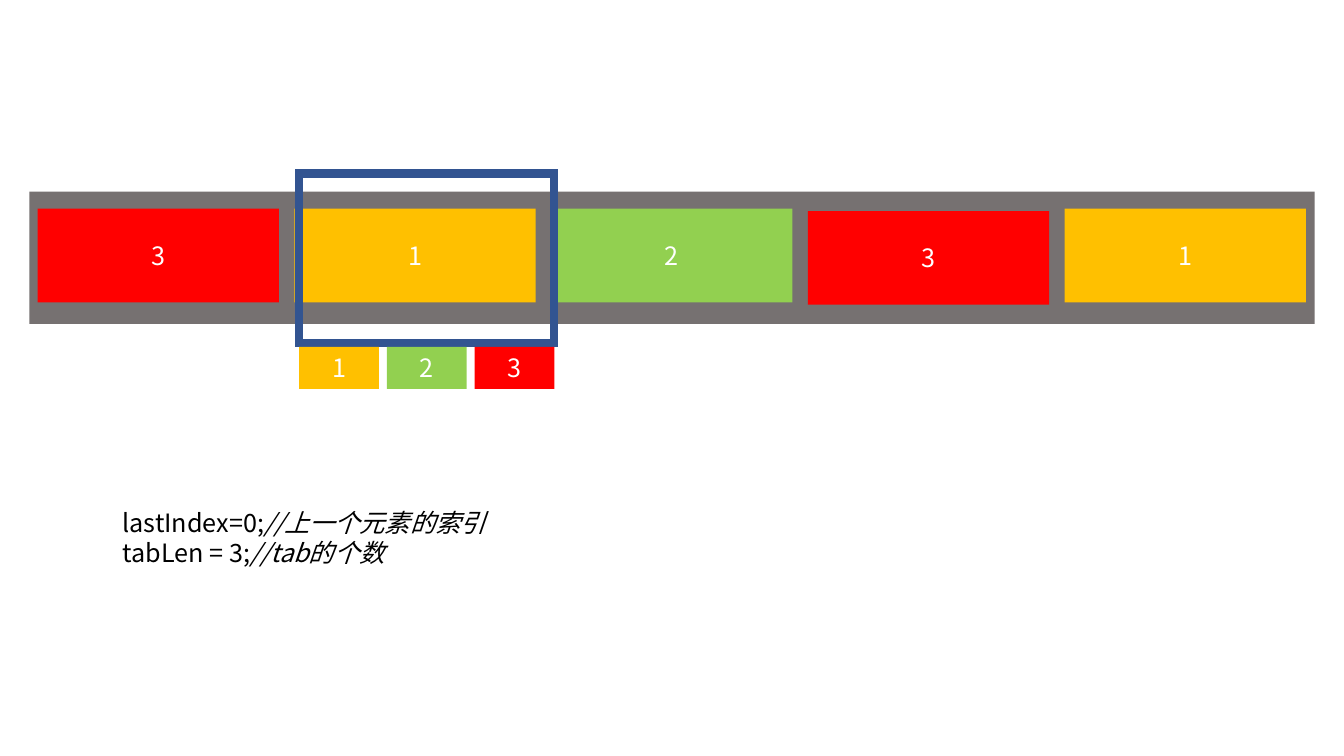
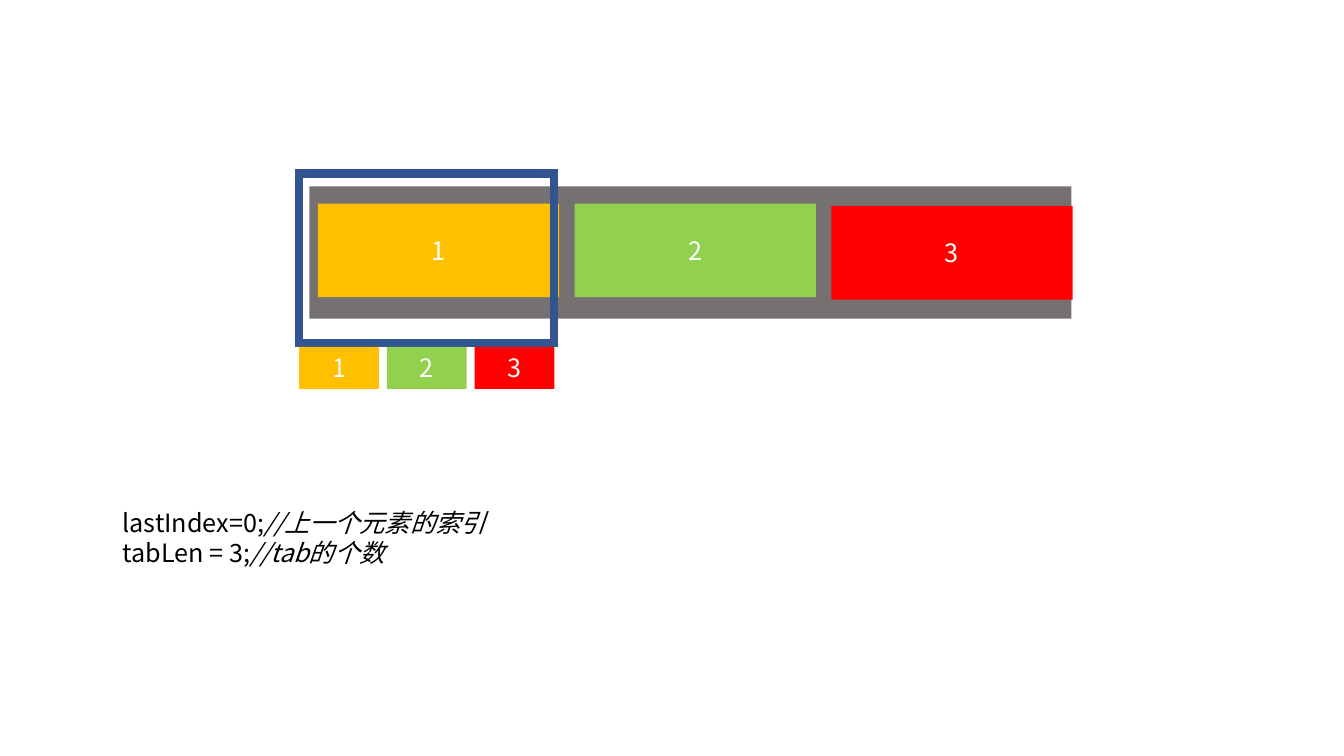
from lxml.etree import SubElement
from pptx import Presentation
from pptx.dml.color import RGBColor
from pptx.enum.shapes import MSO_SHAPE as Shape
from pptx.enum.text import MSO_ANCHOR as Anchor, MSO_AUTO_SIZE as Fit, PP_ALIGN as Align
from pptx.oxml.ns import qn
from pptx.util import Cm, Pt

FONT = "Noto Sans CJK SC"
WHITE = RGBColor(0xFF, 0xFF, 0xFF)
BLACK = RGBColor(0, 0, 0)
GREY = RGBColor(0x76, 0x71, 0x71)
BLUE = RGBColor(0x32, 0x54, 0x91)
AMBER = RGBColor(0xFF, 0xC0, 0x00)
GREEN = RGBColor(0x92, 0xD0, 0x50)
RED = RGBColor(0xFF, 0x00, 0x00)
COLORS = {1: AMBER, 2: GREEN, 3: RED}

NOTES = [("lastIndex=0;", "//上一个元素的索引"), ("tabLen = 3;", "//tab的个数")]


def style(run, color):
    run.font.size = Pt(18)
    run.font.name = FONT
    run.font.color.rgb = color
    SubElement(run.font._element, qn("a:ea"), typeface=FONT)


def add_rect(shapes, left, top, width, height, fill=None):
    rect = shapes.add_shape(Shape.RECTANGLE, Cm(left), Cm(top), Cm(width), Cm(height))
    rect.shadow.inherit = False
    rect.line.fill.background()
    if fill is None:
        rect.fill.background()
    else:
        rect.fill.solid()
        rect.fill.fore_color.rgb = fill
    return rect


def add_tile(shapes, left, top, width, height, number):
    tile = add_rect(shapes, left, top, width, height, COLORS[number])
    frame = tile.text_frame
    frame.text = str(number)
    frame.vertical_anchor = Anchor.MIDDLE
    line = frame.paragraphs[0]
    line.alignment = Align.CENTER
    style(line.runs[0], WHITE)


def add_strip(slide, left, top, width, numbers):
    """Grey track with one large tile for each number."""
    shapes = slide.shapes.add_group_shape().shapes
    add_rect(shapes, left, top, width, 3.33, GREY)
    for i, number in enumerate(numbers):
        drop = 0.06 if i and number == 3 else 0
        add_tile(shapes, left + 0.21 + i * 6.47, top + 0.43 + drop, 6.08, 2.36, number)


def add_window(slide, left, top):
    """Blue viewing frame with the row of tabs below it."""
    shapes = slide.shapes.add_group_shape().shapes
    frame = add_rect(shapes, left, top, 6.43, 4.28)
    frame.line.color.rgb = BLUE
    frame.line.width = Pt(6)
    SubElement(frame.line._get_or_add_ln(), qn("a:miter"), lim="800000")
    for i, number in enumerate(COLORS):
        add_tile(shapes, left + i * 2.21, top + 4.37, 2.01, 1.06, number)


def add_code(slide, left, top):
    box = slide.shapes.add_textbox(Cm(left), Cm(top), Cm(13.41), Cm(1.8))
    frame = box.text_frame
    frame.word_wrap = True
    frame.auto_size = Fit.SHAPE_TO_FIT_TEXT
    for i, (code, remark) in enumerate(NOTES):
        line = frame.add_paragraph() if i else frame.paragraphs[0]
        line.line_spacing = Pt(21.5)
        for text, slant in ((code, False), (remark, True)):
            run = line.add_run()
            run.text = text
            run.font.italic = slant
            style(run, BLACK)


def add_slide(deck, left, top, width, numbers):
    slide = deck.slides.add_slide(deck.slide_layouts[6])
    add_strip(slide, left, top, width, numbers)
    add_window(slide, 7.54, 4.37)
    add_code(slide, 2.84, 12.67)


def main():
    deck = Presentation()
    deck.slide_width, deck.slide_height = Cm(33.87), Cm(19.05)
    add_slide(deck, 0.74, 4.83, 32.39, [3, 1, 2, 3, 1])
    add_slide(deck, 7.8, 4.7, 19.2, [1, 2, 3])
    deck.save("out.pptx")


if __name__ == "__main__":
    main()
